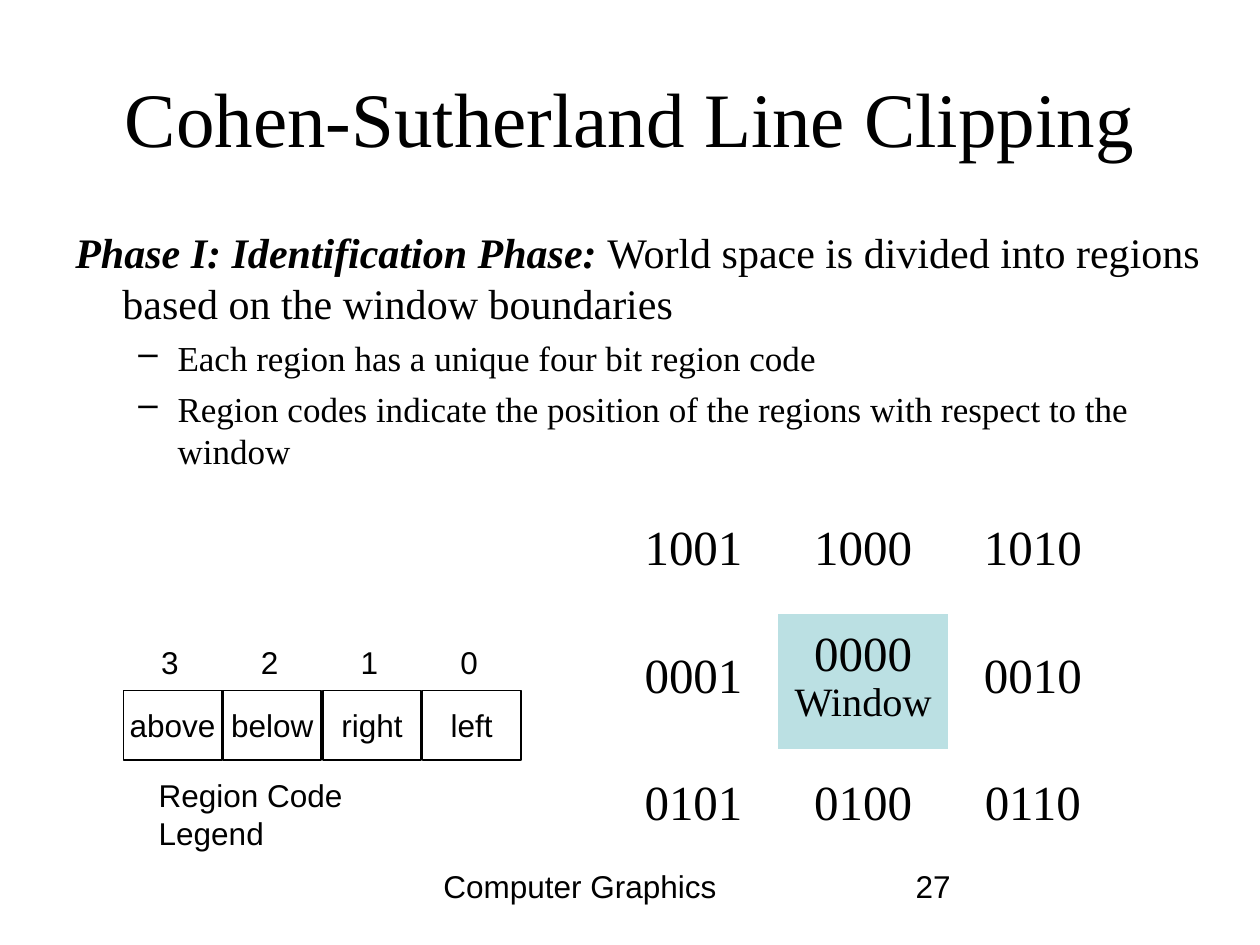
from lxml import etree
from pptx import Presentation
from pptx.dml.color import RGBColor
from pptx.enum import shapes, text
from pptx.oxml.ns import qn
from pptx.util import Cm, Pt

THEME = {
    "serif": "Times New Roman", "sans": "Arial",
    "ink": RGBColor(0, 0, 0), "window": RGBColor(0xBB, 0xE0, 0xE3),
    "title": 44, "phase": 24, "detail": 20, "code": 28, "window_label": 23, "label": 18,
}
NO_STYLE = "{2D5ABB26-0587-4C30-8999-92F81FD0307C}"

TITLE = "Cohen-Sutherland Line Clipping"
PHASE = ("Phase I: Identification Phase: ",
         "World space is divided into regions based on the window boundaries")
DETAILS = ["Each region has a unique four bit region code",
           "Region codes indicate the position of the regions with respect to the window"]
REGIONS = [["1001", "1000", "1010"],
           ["0001", "0000\nWindow", "0010"],
           ["0101", "0100", "0110"]]
LEGEND = [("3", "above"), ("2", "below"), ("1", "right"), ("0", "left")]
LEGEND_CAPTION = "Region Code Legend"
FOOTERS = [("Computer Graphics", 8.69, 8.03), ("27", 18.21, 5.92)]


def style(paragraph, face, size, align=text.PP_ALIGN.LEFT):
    paragraph.alignment = align
    paragraph.font.name = THEME[face]
    paragraph.font.size = Pt(THEME[size])
    paragraph.font.color.rgb = THEME["ink"]


def add_text(slide, words, box, face="sans", size="label", wrap=True, **options):
    frame = slide.shapes.add_textbox(*map(Cm, box)).text_frame
    frame.word_wrap = wrap
    frame.text = words
    style(frame.paragraphs[0], face, size, **options)
    return frame


def indent(paragraph, margin, first, bullet=None):
    props = paragraph._p.get_or_add_pPr()
    props.set("marL", str(Cm(margin)))
    props.set("indent", str(Cm(first)))
    if bullet:
        etree.SubElement(props, qn("a:buChar")).set("char", bullet)


def add_body(slide):
    frame = add_text(slide, "", (1.27, 4.45, 23.5, 12.57), "serif", "phase")
    phase = frame.paragraphs[0]
    indent(phase, 0.95, -0.95)
    name, meaning = (phase.add_run() for _ in PHASE)
    name.text, meaning.text = PHASE
    name.font.bold = name.font.italic = True
    for words in DETAILS:
        detail = frame.add_paragraph()
        detail.text = words
        detail.level = 1
        indent(detail, 2.06, -0.79, "–")
        detail.space_before = Pt(5)
        style(detail, "serif", "detail")


def add_regions(slide):
    column, heights = 3.42, (2.41, 2.72, 2.41)
    table = slide.shapes.add_table(3, 3, Cm(12.27), Cm(9.96),
                                   Cm(3 * column), Cm(sum(heights))).table
    table._tbl.tblPr.find(qn("a:tableStyleId")).text = NO_STYLE
    table.first_row = table.horz_banding = False
    for r, codes in enumerate(REGIONS):
        table.rows[r].height = Cm(heights[r])
        table.columns[r].width = Cm(column)
        for c, code in enumerate(codes):
            cell = table.cell(r, c)
            cell.text = code
            cell.vertical_anchor = text.MSO_ANCHOR.MIDDLE
            cell.fill.background()
            for i, line in enumerate(cell.text_frame.paragraphs):
                line.line_spacing = 0.74
                line.space_before = Pt(5.8 if i else 0)
                style(line, "serif", "window_label" if i else "code", text.PP_ALIGN.CENTER)
    window = table.cell(1, 1)
    window.fill.solid()
    window.fill.fore_color.rgb = THEME["window"]


def add_legend(slide):
    left, pitch, width = 2.49, 2.01, 1.98
    for i, (bit, side) in enumerate(LEGEND):
        x = left + i * pitch
        box = slide.shapes.add_shape(shapes.MSO_SHAPE.RECTANGLE,
                                     Cm(x), Cm(13.92), Cm(width), Cm(1.4))
        box.shadow.inherit = False
        box.fill.background()
        box.line.color.rgb = THEME["ink"]
        box.line.width = Pt(1)
        box.text_frame.word_wrap = False
        box.text_frame.text = side
        style(box.text_frame.paragraphs[0], "sans", "label", text.PP_ALIGN.CENTER)
        add_text(slide, bit, (x + 0.51, 12.83, 0.86, 1.02), wrap=False)
    add_text(slide, LEGEND_CAPTION, (2.95, 15.52, 6.5, 1.02), wrap=False)


def main():
    deck = Presentation()
    deck.slide_width, deck.slide_height = Cm(25.4), Cm(19.05)
    slide = deck.slides.add_slide(deck.slide_layouts[6])
    for words, x, width in FOOTERS:
        add_text(slide, words, (x, 17.35, width, 1.3))
    title = add_text(slide, TITLE, (1.27, 0.76, 22.86, 3.18), "serif", "title",
                     align=text.PP_ALIGN.CENTER)
    title.vertical_anchor = text.MSO_ANCHOR.MIDDLE
    add_body(slide)
    add_regions(slide)
    add_legend(slide)
    deck.save("out.pptx")


if __name__ == "__main__":
    main()
